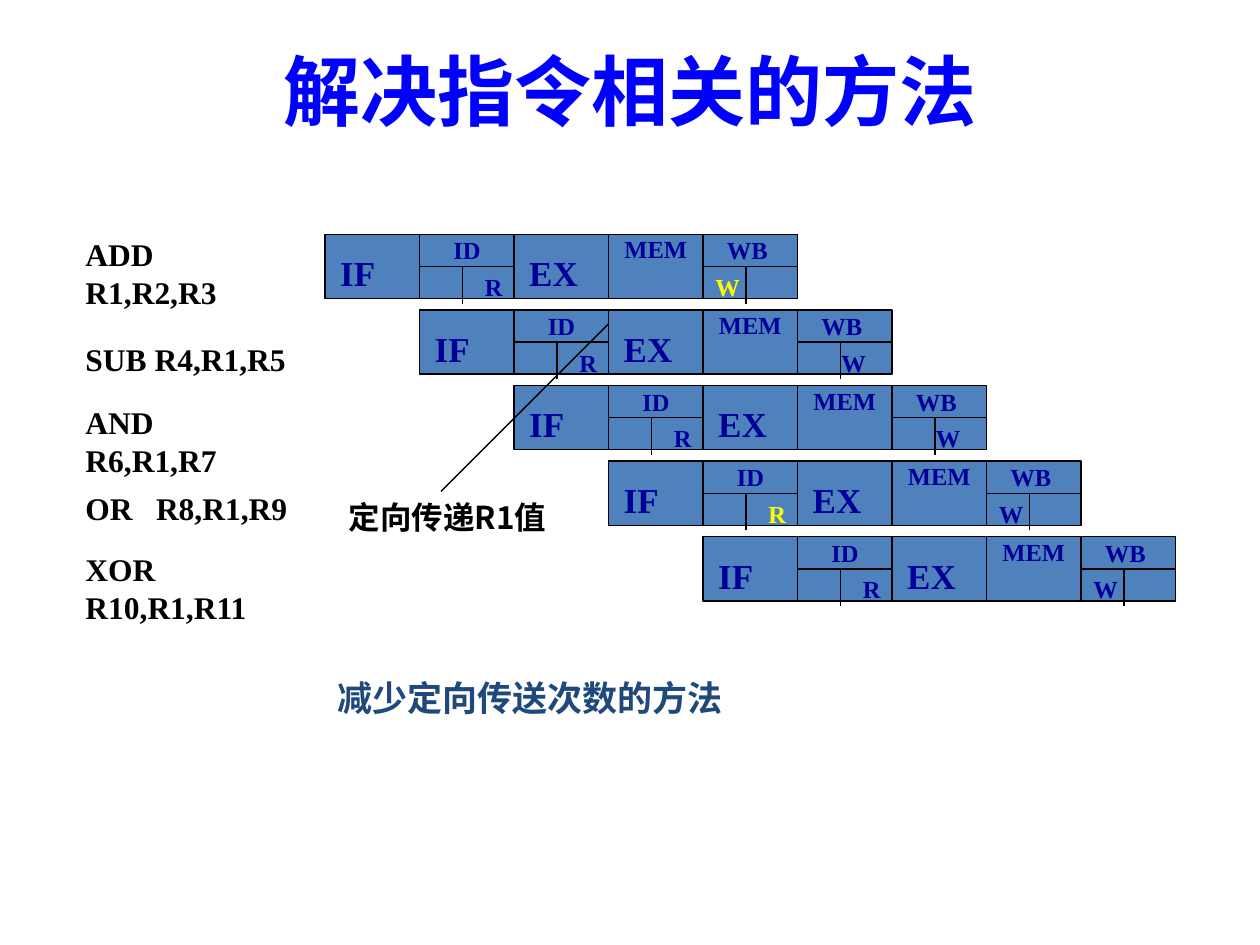
import pptx
import pptx.util
import pptx.dml.color
import pptx.enum.shapes
import pptx.enum.text
import pptx.oxml.ns
from lxml import etree

Inches, Pt = pptx.util.Inches, pptx.util.Pt
RGB = pptx.dml.color.RGBColor
ALIGN = pptx.enum.text.PP_ALIGN
ANCHOR = pptx.enum.text.MSO_ANCHOR
BLACK = RGB(0x00, 0x00, 0x00)
FILL = RGB(0x4F, 0x81, 0xBD)
NAVY = RGB(0x00, 0x00, 0x99)
YELLOW = RGB(0xFF, 0xFF, 0x00)
BLUE = RGB(0x00, 0x00, 0xFF)
SLATE = RGB(0x1F, 0x49, 0x7D)
SERIF, SANS = "Times New Roman", "Noto Sans CJK SC"

CELL_W, CELL_H, STEP = 0.75, 0.51, 0.6
LEFT, TOP = 2.58, 1.86

# instruction, label top, colour of R, offset of W, colour of W
ROWS = [
    ("ADD R1,R2,R3", 1.82, NAVY, 0, YELLOW),
    ("SUB R4,R1,R5", 2.65, NAVY, 0.25, NAVY),
    ("AND R6,R1,R7", 3.15, NAVY, 0.25, NAVY),
    ("OR\tR8,R1,R9", 3.83, YELLOW, 0, NAVY),
    ("XOR R10,R1,R11", 4.32, NAVY, 0, NAVY),
]


def add_tab(par, pos):
    props = par._p.get_or_add_pPr()
    tabs = etree.SubElement(props, pptx.oxml.ns.qn("a:tabLst"))
    etree.SubElement(tabs, pptx.oxml.ns.qn("a:tab"), pos=str(Inches(pos)), algn="l")


class Deck:
    """Holds the style and the current slide."""

    def __init__(self, slide):
        self.slide = slide

    def label(self, shape, text, size, color, font=SERIF, align=ALIGN.LEFT):
        frame = shape.text_frame
        frame.word_wrap = True
        frame.text = text
        par = frame.paragraphs[0]
        par.alignment = align
        if "\t" in text:
            add_tab(par, 0.56)
        for run in par.runs:
            run.font.size = Pt(size)
            run.font.bold = True
            run.font.name = font
            run.font.color.rgb = color
            east = etree.SubElement(run._r.get_or_add_rPr(), pptx.oxml.ns.qn("a:ea"))
            east.set("typeface", SANS)

    def text(self, home, x, y, w, h, text, size, color, **look):
        box = home.add_textbox(Inches(x), Inches(y), Inches(w), Inches(h))
        self.label(box, text, size, color, **look)

    def cell(self, home, x, y):
        box = home.add_shape(pptx.enum.shapes.MSO_SHAPE.RECTANGLE,
                             Inches(x), Inches(y), Inches(CELL_W), Inches(CELL_H))
        box.shadow.inherit = False
        box.fill.solid()
        box.fill.fore_color.rgb = FILL
        box.line.color.rgb = BLACK
        box.line.width = Pt(0.75)
        return box

    def line(self, home, x1, y1, x2, y2):
        line = home.add_connector(pptx.enum.shapes.MSO_CONNECTOR.STRAIGHT,
                                  Inches(x1), Inches(y1), Inches(x2), Inches(y2))
        line.line.color.rgb = BLACK
        line.line.width = Pt(0.75)
        etree.SubElement(line._element.spPr, pptx.oxml.ns.qn("a:effectLst"))
        return line

    def stage(self, x, y, name):
        """Draw a whole-cycle cell with a large, low-set name."""
        box = self.cell(self.slide.shapes, x, y)
        self.label(box, name, 20, NAVY)
        frame = box.text_frame
        frame.vertical_anchor = ANCHOR.MIDDLE
        frame.margin_left = Inches(0.12)
        frame.margin_top, frame.margin_bottom = Inches(0.1), 0

    def memory(self, x, y):
        box = self.cell(self.slide.shapes, x, y)
        self.label(box, "MEM", 14, NAVY, align=ALIGN.CENTER)
        box.text_frame.vertical_anchor = ANCHOR.TOP
        box.text_frame.margin_top = 0

    def split(self, home, x, y, name, shift, width):
        """Draw a cell whose lower part is cut into two half cycles."""
        box = self.cell(home, x, y)
        rule = self.line(home, x, y + CELL_H / 2, x + CELL_W, y + CELL_H / 2)
        rule.begin_connect(box, 1)
        rule.end_connect(box, 3)
        self.line(home, x + 0.34, y + 0.25, x + 0.34, y + 0.55)
        self.text(home, x + shift, y - 0.04, width, 0.33, name, 14, NAVY)

    def row(self, x, y, read, gap, store):
        xs = [x + CELL_W * i for i in range(5)]
        shapes = self.slide.shapes
        self.stage(xs[0], y, "IF")
        self.split(shapes, xs[1], y, "ID", 0.17, 0.58)
        self.text(shapes, xs[1] + 0.42, y + 0.25, 0.33, 0.33, "R", 14, read)
        self.stage(xs[2], y, "EX")
        self.memory(xs[3], y)
        group = shapes.add_group_shape().shapes
        self.split(group, xs[4], y, "WB", 0.09, 0.67)
        self.text(group, xs[4] + gap, y + 0.25, 0.42, 0.33, "W", 14, store)


def main():
    prs = pptx.Presentation()
    prs.slide_width, prs.slide_height = Inches(10), Inches(7.5)
    deck = Deck(prs.slides.add_slide(prs.slide_layouts[6]))
    shapes = deck.slide.shapes
    for i, (code, top, read, gap, store) in enumerate(ROWS):
        deck.row(LEFT + CELL_W * i, TOP + STEP * i, read, gap, store)
        height = 0.4 if code.startswith(("SUB", "OR")) else 0.7
        deck.text(shapes, 0.58, top, 1.82, height, code, 18, BLACK)
    deck.line(shapes, 4.83, 2.57, 3.5, 3.9)
    deck.text(shapes, 2.67, 3.9, 2.08, 0.4, "定向传递R1值", 18, BLACK, font=SANS)
    deck.text(shapes, 2.58, 5.32, 3.33, 0.43, "减少定向传送次数的方法", 20, SLATE)
    deck.text(shapes, 0.5, 0.3, 9, 1.25, "解决指令相关的方法", 44, BLUE,
              font=SANS, align=ALIGN.CENTER)
    prs.save("out.pptx")


if __name__ == "__main__":
    main()
